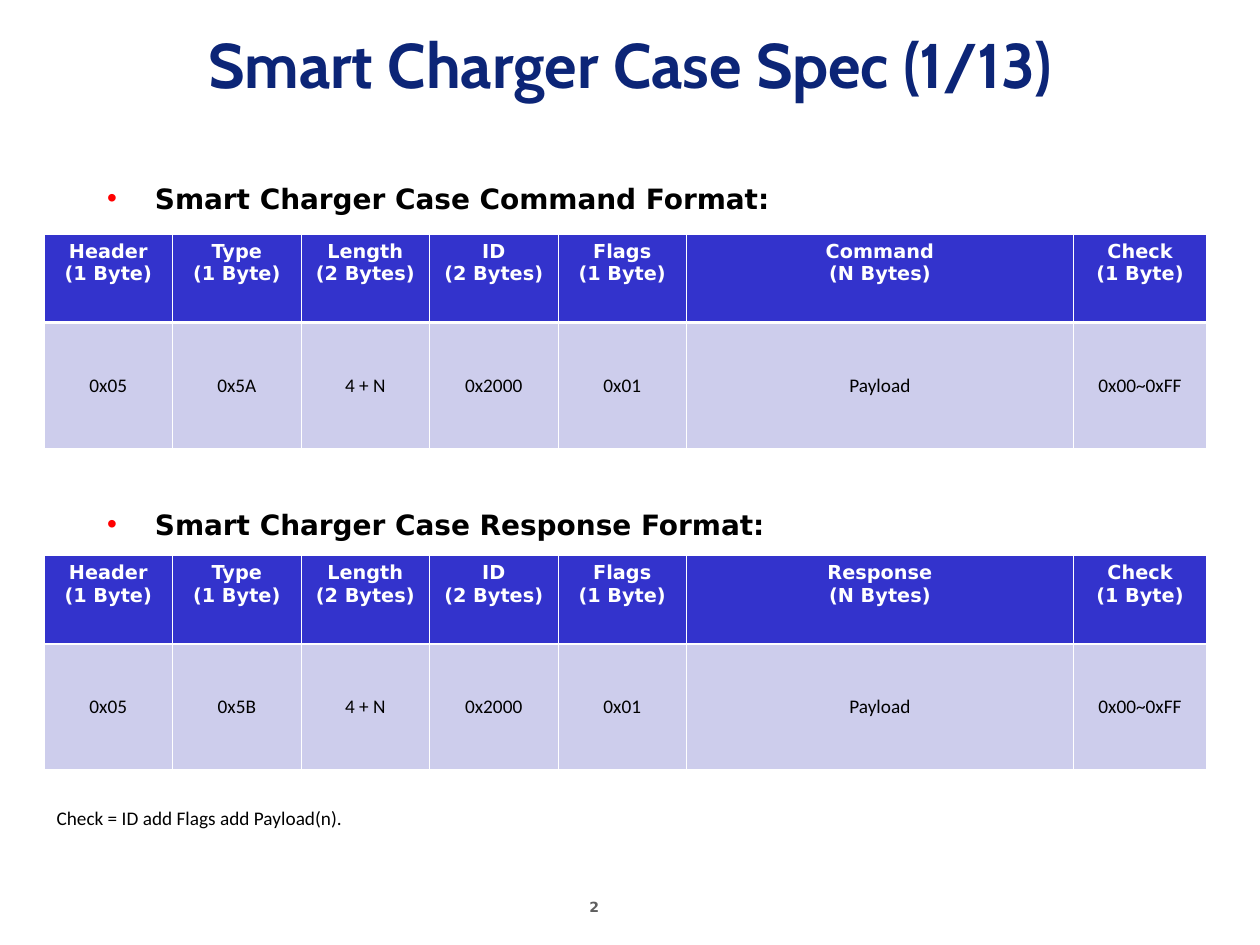
from lxml.etree import SubElement
from pptx import Presentation
from pptx.dml.color import RGBColor
from pptx.enum.text import MSO_ANCHOR, MSO_AUTO_SIZE, PP_ALIGN
from pptx.oxml.ns import qn
from pptx.util import Inches, Pt

COLORS = {
    "title": "0C2577",
    "text": "000000",
    "bullet": "FF0000",
    "header": "3333CC",
    "body": "CDCDEC",
    "white": "FFFFFF",
    "number": "5F5F5F",
}
FORMATS = {
    "title": {"name": "Cabin", "size": Pt(36), "bold": True},
    "heading": {"name": "DejaVu Sans", "size": Pt(16), "bold": True},
    "header": {"name": "DejaVu Sans", "size": Pt(11), "bold": True},
    "value": {"name": "Calibri", "size": Pt(11), "bold": False},
    "number": {"name": "DejaVu Sans", "size": Pt(8), "bold": True},
}
FIELDS = ["Header", "Type", "Length", "ID", "Flags", None, "Check"]
SIZES = ["1 Byte", "1 Byte", "2 Bytes", "2 Bytes", "1 Byte", "N Bytes", "1 Byte"]
COLUMN_WIDTHS = [1.02] * 5 + [3.07, 1.06]
ROW_HEIGHTS = [0.7, 1]
THIN, THICK = Pt(0.45), Pt(1.47)


def write(paragraph, text, style, color, alignment=PP_ALIGN.LEFT):
    paragraph.alignment = alignment
    run = paragraph.add_run()
    run.text = text
    for name, value in FORMATS[style].items():
        setattr(run.font, name, value)
    run.font.color.rgb = RGBColor.from_string(COLORS[color])


def place(shape, left, top, width, height):
    box = {"left": left, "top": top, "width": width, "height": height}
    for name, value in box.items():
        setattr(shape, name, Inches(value))


def add_title(slide, text):
    title = slide.shapes.title
    place(title, 0, 0, 10, 1)
    title.text_frame.auto_size = MSO_AUTO_SIZE.NONE
    title.text_frame.vertical_anchor = MSO_ANCHOR.MIDDLE
    write(title.text_frame.paragraphs[0], text, "title", "title", PP_ALIGN.CENTER)


def add_bullet(paragraph):
    properties = paragraph._p.get_or_add_pPr()
    properties.set("marL", str(Inches(0.38)))
    properties.set("indent", str(-Inches(0.38)))
    color = SubElement(properties, qn("a:buClr"))
    SubElement(color, qn("a:srgbClr"), val=COLORS["bullet"])
    SubElement(properties, qn("a:buFont"), typeface="Arial")
    SubElement(properties, qn("a:buChar"), char="•")


def add_headings(slide, headings):
    body = slide.placeholders[1]
    place(body, 0.75, 1.39, 9.25, 5.17)
    frame = body.text_frame
    frame.auto_size = MSO_AUTO_SIZE.NONE
    for index, (text, space_before) in enumerate(headings):
        paragraph = frame.add_paragraph() if index else frame.paragraphs[0]
        paragraph.space_before = Pt(space_before)
        add_bullet(paragraph)
        write(paragraph, text, "heading", "text")


def add_borders(cell, widths):
    properties = cell._tc.get_or_add_tcPr()
    for side, width in zip("LRTB", widths):
        line = SubElement(properties, qn(f"a:ln{side}"), w=str(width))
        fill = SubElement(line, qn("a:solidFill"))
        SubElement(fill, qn("a:srgbClr"), val=COLORS["white"])


def fill_cell(cell, lines, style, color, fill):
    for index, line in enumerate(lines):
        frame = cell.text_frame
        paragraph = frame.add_paragraph() if index else frame.paragraphs[0]
        write(paragraph, line, style, color, PP_ALIGN.CENTER)
    cell.fill.solid()
    cell.fill.fore_color.rgb = RGBColor.from_string(COLORS[fill])


def add_format_table(slide, top, payload_name, values):
    frame = slide.shapes.add_table(
        len(ROW_HEIGHTS), len(COLUMN_WIDTHS), Inches(0.35), Inches(top),
        Inches(sum(COLUMN_WIDTHS)), Inches(sum(ROW_HEIGHTS)))
    table = frame.table
    for row, height in zip(table.rows, ROW_HEIGHTS):
        row.height = Inches(height)
    for index, width in enumerate(COLUMN_WIDTHS):
        table.columns[index].width = Inches(width)
        header, value = table.cell(0, index), table.cell(1, index)
        add_borders(header, [THIN, THIN, THIN, THICK])
        add_borders(value, [THIN, THIN, THICK, THIN])
        lines = [FIELDS[index] or payload_name, f"({SIZES[index]})"]
        fill_cell(header, lines, "header", "white", "header")
        fill_cell(value, [values[index]], "value", "text", "body")
        value.vertical_anchor = MSO_ANCHOR.MIDDLE
        value.margin_left = value.margin_right = Inches(0.01)


def add_text(slide, box, text, style, color):
    shape = slide.shapes.add_textbox(*map(Inches, box))
    shape.text_frame.word_wrap = True
    write(shape.text_frame.paragraphs[0], text, style, color)


def main():
    presentation = Presentation()
    presentation.slide_width = Inches(10)
    presentation.slide_height = Inches(7.5)
    slide = presentation.slides.add_slide(presentation.slide_layouts[1])
    add_title(slide, "Smart Charger Case Spec (1/13)")
    add_headings(slide, [
        ("Smart Charger Case Command Format:", 4),
        ("Smart Charger Case Response Format:", 167),
    ])
    for top, payload_name, kind in [(1.86, "Command", "0x5A"), (4.41, "Response", "0x5B")]:
        values = ["0x05", kind, "4 + N", "0x2000", "0x01", "Payload", "0x00~0xFF"]
        add_format_table(slide, top, payload_name, values)
    add_text(slide, (0.35, 6.35, 3.39, 0.29),
             "Check = ID add Flags add Payload(n).", "value", "text")
    add_text(slide, (4.58, 7.08, 0.77, 0.26), "2", "number", "number")
    presentation.save("out.pptx")


if __name__ == "__main__":
    main()
